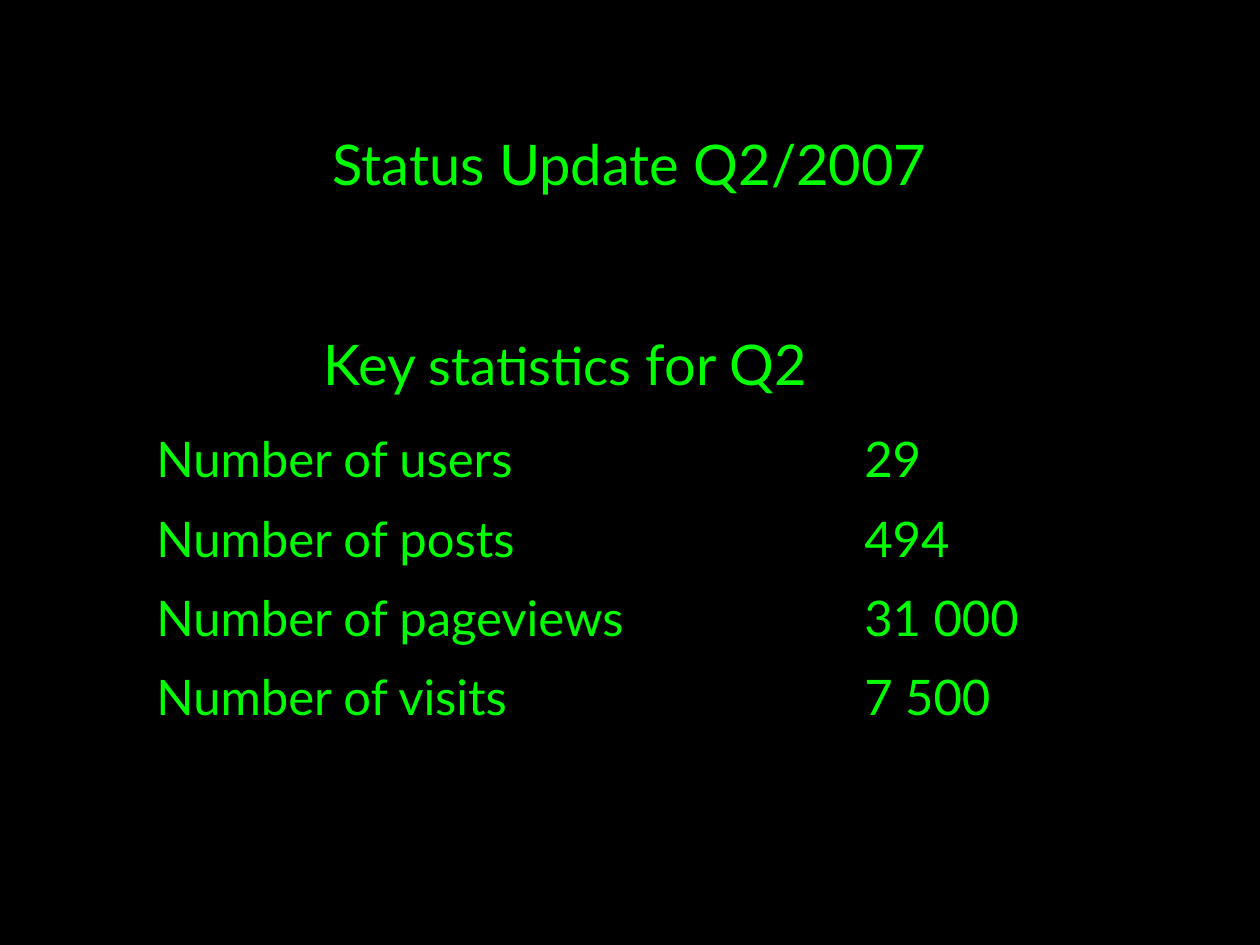
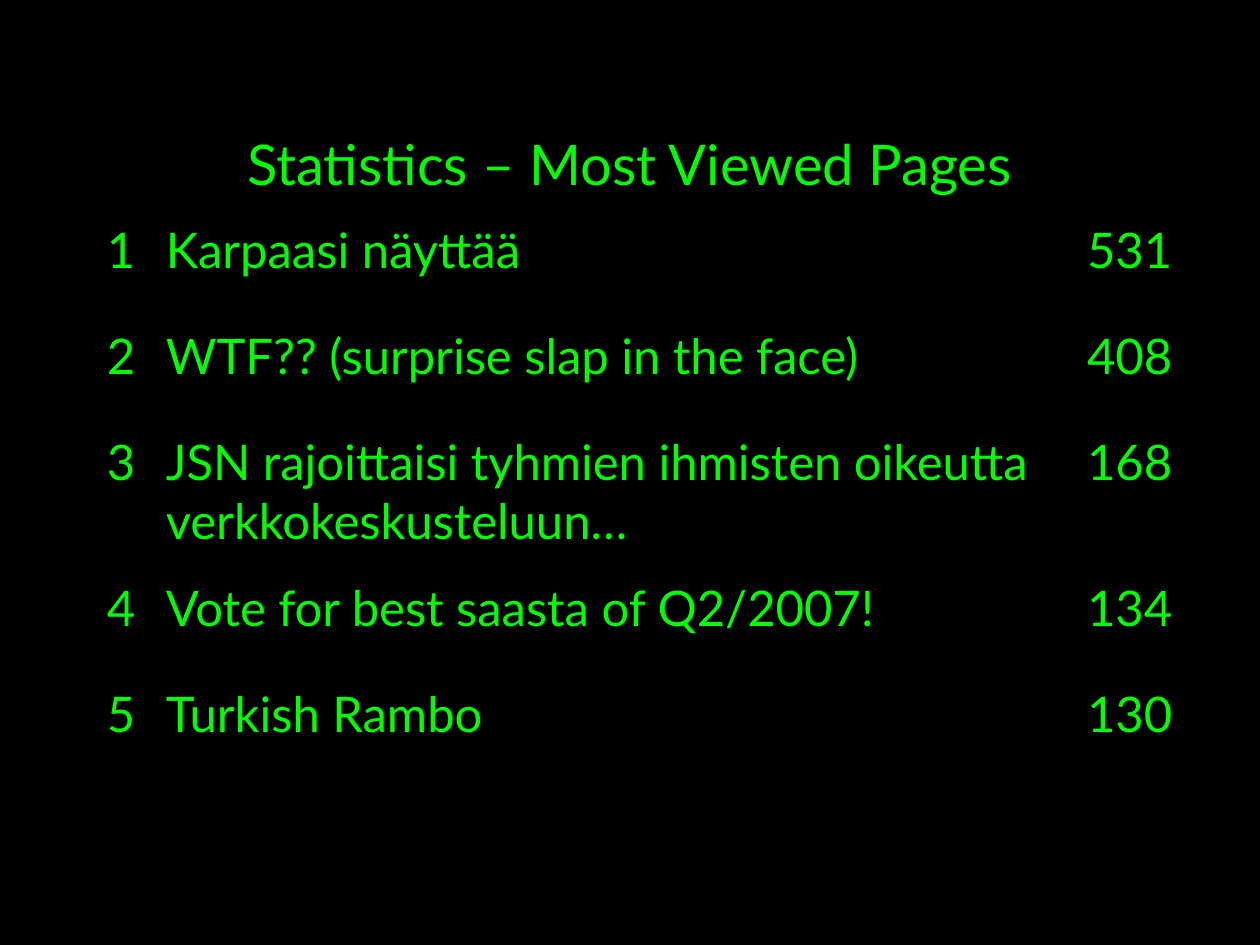
import pptx
import pptx.dml.color
import pptx.enum.text
import pptx.util
from lxml import etree
from pptx.util import Cm, Pt

FONT, GREEN, BLACK = "Lato", "00FF00", "000000"
A = "http://schemas.openxmlformats.org/drawingml/2006/main"
THIN, THICK = 0.45, 1.08

SUBTITLE = [("Key ", 32), ("statistics", 30), (" for Q2", 32)]
SLIDES = [
    {
        "title": "Status Update Q2/2007",
        "subtitle": SUBTITLE,
        "at": (2.9, 8.53),
        "cols": [14.27, 5.13],
        "heights": [1.6] * 5,
        "edge": THICK,
        "rows": [
            ("Number of users", "29"),
            ("Number of posts", "494"),
            ("Number of pageviews", "31 000"),
            ("Number of visits", "7 500"),
            ("", ""),
        ],
    },
    {
        "title": "Statistics – Most Viewed Pages",
        "at": (1.9, 4.32),
        "cols": [1.19, 18.57, 2.41],
        "heights": [2.13, 2.13, 2.95, 2.13, 2.06],
        "edge": THIN,
        "rows": [
            ("1", "Karpaasi näyttää", "531"),
            ("2", "WTF?? (surprise slap in the face)", "408"),
            ("3", "JSN rajoittaisi tyhmien ihmisten oikeutta verkkokeskusteluun…", "168"),
            ("4", "Vote for best saasta of Q2/2007!", "134"),
            ("5", "Turkish Rambo", "130"),
        ],
    },
]


def rgb(value):
    return pptx.dml.color.RGBColor.from_string(value)


def style(font, size):
    font.name, font.size = FONT, Pt(size)
    font.color.rgb = rgb(GREEN)


def place(shape, left, top, width, height):
    shape.left, shape.top, shape.width, shape.height = map(Cm, (left, top, width, height))


def center(tf):
    tf.word_wrap = True
    tf.vertical_anchor = pptx.enum.text.MSO_ANCHOR.MIDDLE
    p = tf.paragraphs[0]
    p.alignment = pptx.enum.text.PP_ALIGN.CENTER
    return p


def add_title(s, text):
    title = s.shapes.title
    place(title, 1.9, 1.7, 21.59, 3.18)
    title.text_frame.text = text
    style(center(title.text_frame).font, 32)


def add_subtitle(s, parts):
    box = s.shapes.add_textbox(Cm(0.69), Cm(6.73), Cm(21.41), Cm(1.19))
    p = center(box.text_frame)
    for text, size in parts:
        r = p.add_run()
        r.text = text
        style(r.font, size)


def set_borders(cell, widths):
    tcPr = cell._tc.get_or_add_tcPr()
    for side, width in zip("LRTB", widths):
        ln = etree.SubElement(tcPr, f"{{{A}}}ln{side}", w=str(int(Pt(width))))
        fill = etree.SubElement(ln, f"{{{A}}}solidFill")
        etree.SubElement(fill, f"{{{A}}}srgbClr", val=BLACK)


def add_table(s, at, cols, heights, rows, edge):
    size = sum(cols), sum(heights)
    table = s.shapes.add_table(len(rows), len(cols), *map(Cm, at + size)).table
    table.first_row = table.horz_banding = False
    for column, width in zip(table.columns, cols):
        column.width = Cm(width)
    for i, (row, height, texts) in enumerate(zip(table.rows, heights, rows)):
        row.height = Cm(height)
        for j, (cell, text) in enumerate(zip(row.cells, texts)):
            outer = (j == 0, j == len(cols) - 1, i == 0, i == len(rows) - 1)
            set_borders(cell, [edge if is_outer else THIN for is_outer in outer])
            cell.fill.background()
            cell.text = text
            style(cell.text_frame.paragraphs[0].font, 28)


def main():
    prs = pptx.Presentation()
    prs.slide_width, prs.slide_height = Cm(25.4), Cm(19.05)
    background = prs.slide_master.background.fill
    background.solid()
    background.fore_color.rgb = rgb(BLACK)
    for item in SLIDES:
        s = prs.slides.add_slide(prs.slide_layouts[5])
        add_title(s, item["title"])
        add_table(s, item["at"], item["cols"], item["heights"], item["rows"], item["edge"])
        if "subtitle" in item:
            add_subtitle(s, item["subtitle"])
    prs.save("out.pptx")


if __name__ == "__main__":
    main()
